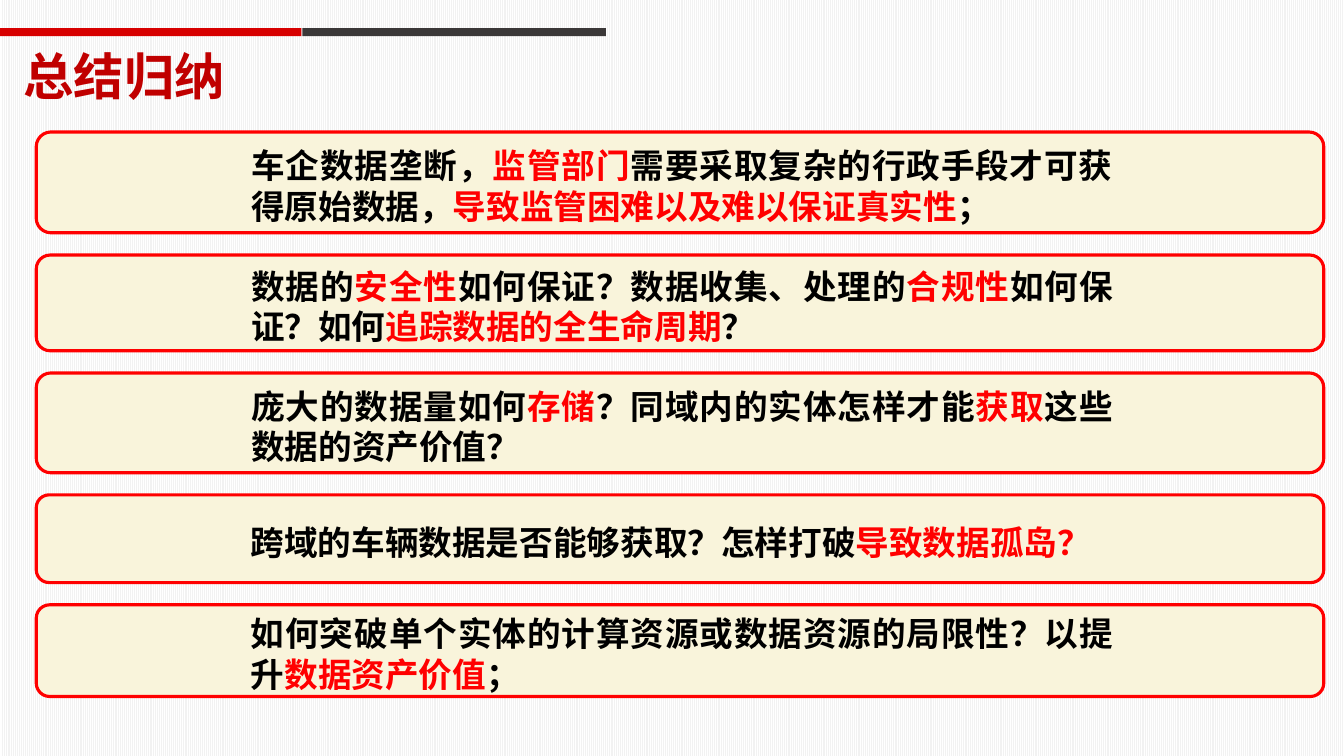
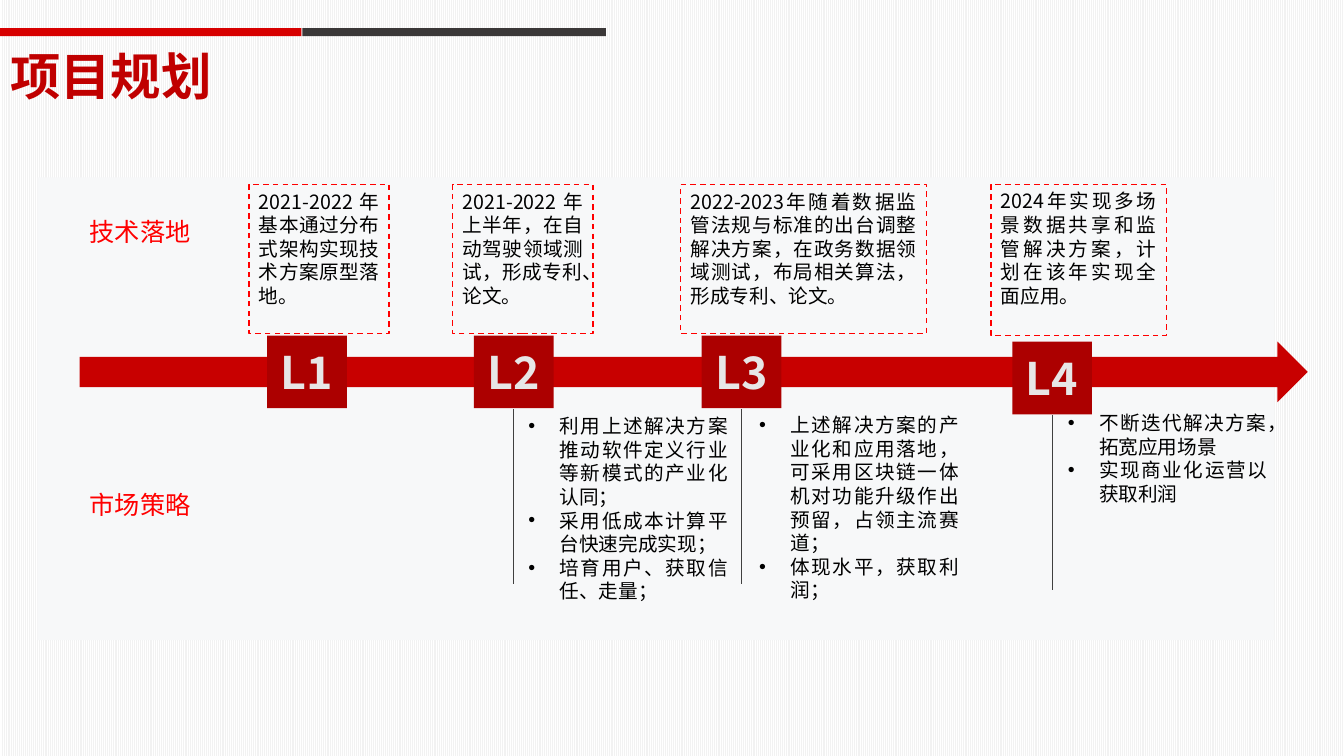
from lxml import etree
from pptx import Presentation
from pptx.dml.color import RGBColor
from pptx.enum import dml, shapes, text
from pptx.oxml.ns import qn
from pptx.util import Inches, Pt

COLORS = {
    "title": "C00000", "red": "FF0000", "band_red": "D70000", "band_dark": "3B3838",
    "card": "F9F4DB", "panel": "F7F8F9", "arrow": "C80000", "level": "AC0000",
    "level_text": "E7E6E6", "black": "000000", "stem": "404040",
    "stripe": "F2F2F2", "white": "FFFFFF",
}
BODY_FONT = "Noto Sans CJK SC"
TITLE_FONT = "Montserrat"
TITLE_ONLY, COMPARISON = 5, 4

# Every second piece between bars is highlighted: (card height, text)
CARDS = [
    (1.0, "车企数据垄断，|监管部门|需要采取复杂的行政手段才可获得原始数据，"
          "|导致监管困难以及难以保证真实性|；"),
    (0.95, "数据的|安全性|如何保证？数据收集、处理的|合规性|如何保证？如何"
           "|追踪数据的全生命周期|？"),
    (0.99, "庞大的数据量如何|存储|？同域内的实体怎样才能|获取|这些数据的资产价值？"),
    (0.87, "跨域的车辆数据是否能够获取？怎样打破|导致数据孤岛？"),
    (0.91, "如何突破单个实体的计算资源或数据资源的局限性？以提升|数据资产价值|；"),
]
CARD_TOP, CARD_GAP = 1.31, 0.22

ROW_LABELS = [("技术落地", 2.1), ("市场策略", 4.81)]
MILESTONES = [
    {"level": "L1", "at": (2.65, 3.33), "note_at": (2.47, 1.83, 1.39, 1.48),
     "note": "2021-2022年基本通过分布式架构实现技术方案原型落地。"},
    {"level": "L2", "at": (4.7, 3.33), "note_at": (4.49, 1.83, 1.39, 1.48),
     "note": "2021-2022年上半年，在自动驾驶领域测试，形成专利、论文。",
     "market_at": (5.14, 4.06),
     "market": ["利用上述解决方案推动软件定义行业等新模式的产业化认同；",
                "采用低成本计算平台快速完成实现；",
                "培育用户、获取信任、走量；"]},
    {"level": "L3", "at": (6.96, 3.33), "note_at": (6.75, 1.83, 2.44, 1.48),
     "note": "2022-2023年随着数据监管法规与标准的出台调整解决方案，"
             "在政务数据领域测试，布局相关算法，形成专利、论文。",
     "market_at": (7.43, 4.05),
     "market": ["上述解决方案的产业化和应用落地，可采用区块链一体机对功能升级作出预留，占领主流赛道；",
                "体现水平，获取利润；"]},
    {"level": "L4", "at": (10.04, 3.39), "note_at": (9.83, 1.83, 1.74, 1.5),
     "note": "2024年实现多场景数据共享和监管解决方案，计划在该年实现全面应用。",
     "market_at": (10.49, 4.03),
     "market": ["不断迭代解决方案，拓宽应用场景", "实现商业化运营以获取利润"]},
]
LEVEL_WIDTH, LEVEL_HEIGHT = 0.79, 0.72
STEM_GAP, STEM_LENGTH = 0.01, 1.73
MARKET_WIDTH, MARKET_HEIGHT = 2.18, 2.28


def rgb(name):
    return RGBColor.from_string(COLORS[name])


def place(shape, left, top, width, height):
    shape.left, shape.top = Inches(left), Inches(top)
    shape.width, shape.height = Inches(width), Inches(height)


def add_bullet(paragraph):
    properties = paragraph._p.get_or_add_pPr()
    properties.set("marL", str(Inches(0.31)))
    properties.set("indent", str(-Inches(0.31)))
    etree.SubElement(properties, qn("a:buFont")).set("typeface", "Arial")
    etree.SubElement(properties, qn("a:buChar")).set("char", "•")


def write(shape, *lines, size=14, color="black", bold=False, font=BODY_FONT,
          align="JUSTIFY", anchor="TOP", insets=(0.1, 0.05, 0.1, 0.05), bullets=False):
    """Fill a shape with paragraphs; pieces between bars turn red."""
    frame = shape.text_frame
    frame.word_wrap = True
    frame.auto_size = text.MSO_AUTO_SIZE.NONE
    frame.vertical_anchor = text.MSO_ANCHOR[anchor]
    (frame.margin_left, frame.margin_top,
     frame.margin_right, frame.margin_bottom) = map(Inches, insets)
    for index, line in enumerate(lines):
        paragraph = frame.add_paragraph() if index else frame.paragraphs[0]
        if bullets:
            add_bullet(paragraph)
        paragraph.alignment = text.PP_ALIGN[align]
        paragraph.line_spacing = Pt(round(size * 1.2, 1))
        paragraph.space_before = Pt(0)
        for position, piece in enumerate(line.split("|")):
            run = paragraph.add_run()
            run.text = piece
            run.font.size, run.font.bold, run.font.name = Pt(size), bold, font
            run.font.color.rgb = rgb("red" if position % 2 else color)
            east_asian = etree.SubElement(run.font._element, qn("a:ea"))
            east_asian.set("typeface", BODY_FONT)


def add_block(slide, kind, at, fill=None, line=None, weight=1.0, dashed=False):
    shape = slide.shapes.add_shape(shapes.MSO_SHAPE[kind], *map(Inches, at))
    shape.shadow.inherit = False
    if fill:
        shape.fill.solid()
        shape.fill.fore_color.rgb = rgb(fill)
    else:
        shape.fill.background()
    if line:
        shape.line.color.rgb = rgb(line)
        shape.line.width = Pt(weight)
        if dashed:
            shape.line.dash_style = dml.MSO_LINE.DASH
    else:
        shape.line.fill.background()
    return shape


def add_stem(slide, x, top):
    stem = slide.shapes.add_connector(shapes.MSO_CONNECTOR.STRAIGHT, Inches(x), Inches(top),
                                      Inches(x), Inches(top + STEM_LENGTH))
    stem.line.color.rgb = rgb("stem")
    stem.line.width = Pt(0.5)
    etree.SubElement(stem.element.spPr, qn("a:effectLst"))


def add_slide(presentation, layout_index, title, indent=0.1):
    slide = presentation.slides.add_slide(presentation.slide_layouts[layout_index])
    place(slide.shapes.title, 0, 0.39, 9.89, 0.71)
    write(slide.shapes.title, title, size=36, color="title", bold=True, font=TITLE_FONT,
          align="LEFT", anchor="MIDDLE", insets=(indent, 0.05, 0.1, 0.05))
    return slide


def style_master(presentation, slide):
    """Give the master the striped background and the two bands."""
    master = presentation.slide_master
    fill = master.background.fill
    fill.patterned()
    fill.pattern = dml.MSO_PATTERN.NARROW_VERTICAL
    fill.fore_color.rgb, fill.back_color.rgb = rgb("stripe"), rgb("white")
    for left, color in ((-0.02, "band_red"), (3, "band_dark")):
        band = add_block(slide, "RECTANGLE", (left, 0.28, 3.01, 0.08), color)
        master.shapes.element.append(band.element)


def add_cards(slide):
    top = CARD_TOP
    for height, sentence in CARDS:
        card = add_block(slide, "ROUNDED_RECTANGLE", (0.36, top, 12.77, height),
                         "card", "red", 2.25)
        card.adjustments[0] = 0.146
        write(card, sentence, size=24, bold=True, anchor="MIDDLE",
              insets=(2.09, 0.06, 2.05, 0))
        top += height + CARD_GAP


def add_roadmap(slide):
    panel = add_block(slide, "RECTANGLE", (0.37, 1.76, 12.27, 4.59), "panel")
    slide.shapes.element.insert(2, panel.element)  # behind the placeholders
    for label, top in ROW_LABELS:
        box = slide.shapes.add_textbox(*map(Inches, (0.79, top, 1.48, 0.48)))
        write(box, label, size=18, color="red", align="LEFT")
    add_block(slide, "RIGHT_ARROW", (0.79, 3.39, 12.18, 0.6), "arrow")

    bodies = [holder for holder in slide.placeholders if holder != slide.shapes.title]
    for milestone in MILESTONES:
        left, top = milestone["at"]
        level = add_block(slide, "RECTANGLE", (left, top, LEVEL_WIDTH, LEVEL_HEIGHT), "level")
        write(level, milestone["level"], size=32, color="level_text", bold=True,
              align="CENTER", anchor="MIDDLE")
        note = add_block(slide, "RECTANGLE", milestone["note_at"], line="red", dashed=True)
        write(note, milestone["note"])
        if "market" in milestone:
            add_stem(slide, left + LEVEL_WIDTH / 2, top + LEVEL_HEIGHT + STEM_GAP)
            body = bodies.pop(0)
            place(body, *milestone["market_at"], MARKET_WIDTH, MARKET_HEIGHT)
            write(body, *milestone["market"], bullets=True)
    for unused in bodies:
        unused.element.getparent().remove(unused.element)


def main():
    presentation = Presentation()
    presentation.slide_width, presentation.slide_height = Inches(13.33), Inches(7.5)
    summary = add_slide(presentation, TITLE_ONLY, "总结归纳", indent=0.23)
    style_master(presentation, summary)
    add_cards(summary)
    add_roadmap(add_slide(presentation, COMPARISON, "项目规划"))
    presentation.save("out.pptx")


if __name__ == "__main__":
    main()
